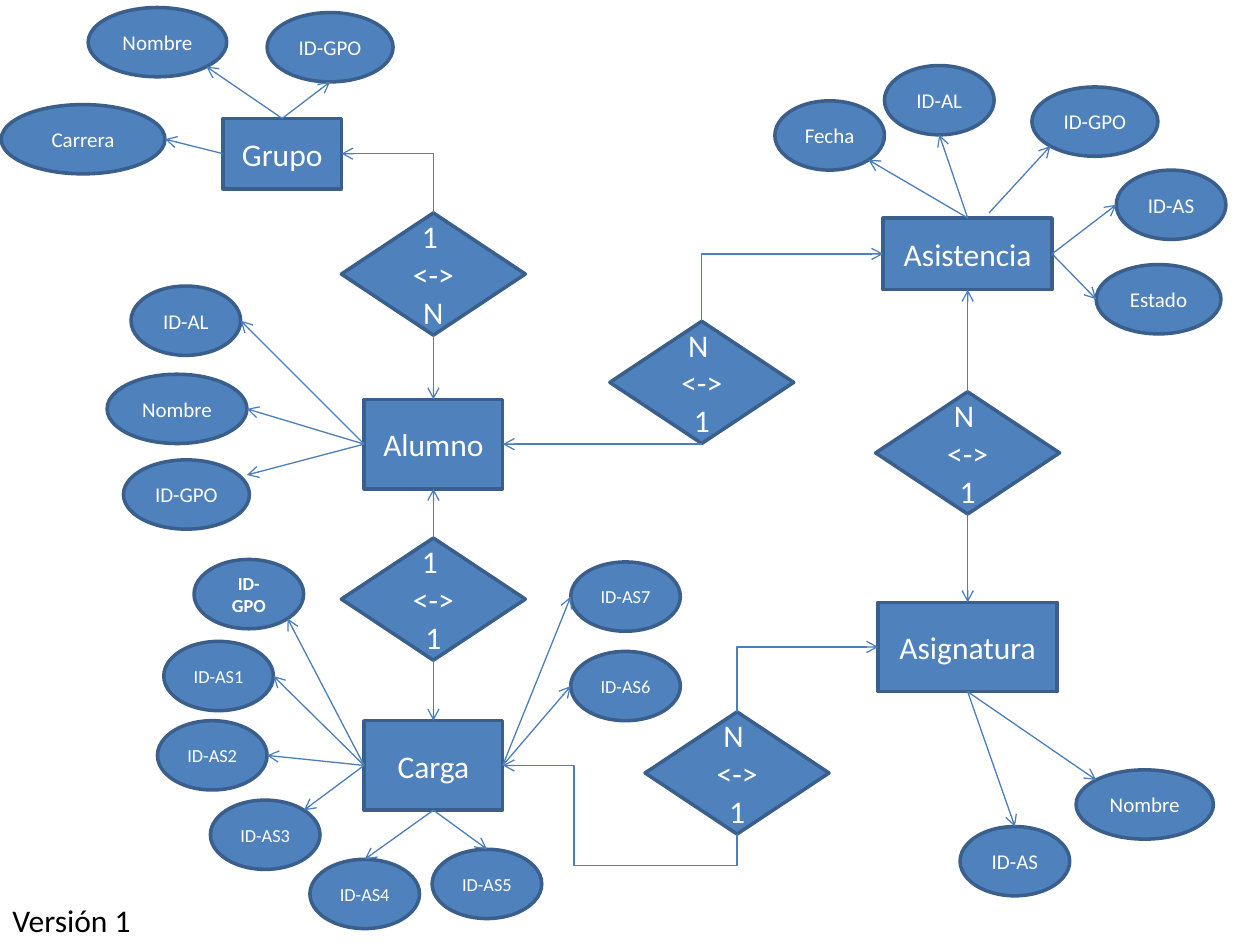
from lxml import etree
from pptx import Presentation
from pptx import util as u
from pptx.dml.color import RGBColor
from pptx.enum import shapes, text
from pptx.oxml.ns import qn

HUES = {"fill": "4F81BD", "edge": "3A5F8C", "link": "4B7EBC", "light": "FFFFFF", "dark": "000000"}

ENTITIES = {
    "Grupo": (1.77, 0.94, 0.94, 0.56),
    "Alumno": (2.89, 3.17, 1.1, 0.71),
    "Carga": (2.89, 5.72, 1.1, 0.71),
    "Asistencia": (7.01, 1.73, 1.34, 0.57),
    "Asignatura": (6.97, 4.78, 1.42, 0.71),
}

TRAITS = {
    "Grupo": [
        ("Carrera", 0.01, 0.83, 1.3, "left", "right"),
        ("Nombre", 0.7, 0.06, 1.1, "top", "low right"),
        ("ID-GPO", 2.12, 0.1, 1, "top", "bottom"),
    ],
    "Alumno": [
        ("ID-AL", 1.04, 2.27, 0.87, "left", "right"),
        ("Nombre", 0.85, 2.97, 1.11, "left", "right"),
        ("ID-GPO", 0.98, 3.65, 1, "left", (1.96, 3.77)),
    ],
    "Carga": [
        ("ID-GPO", 1.54, 4.44, 0.87, "left", "low right"),
        ("ID-AS1", 1.3, 5.09, 0.87, "left", "right"),
        ("ID-AS2", 1.25, 5.72, 0.87, "left", "right"),
        ("ID-AS3", 1.67, 6.35, 0.87, "left", "top right"),
        ("ID-AS4", 2.46, 6.82, 0.87, "bottom", "top"),
        ("ID-AS5", 3.43, 6.74, 0.87, "bottom", "top"),
        ("ID-AS6", 4.53, 5.17, 0.87, "right", "left"),
        ("ID-AS7", 4.53, 4.46, 0.87, "right", "left"),
    ],
    "Asistencia": [
        ("Fecha", 6.15, 0.8, 0.87, "top", "low right"),
        ("ID-AL", 7.02, 0.52, 0.87, "top", "bottom"),
        ("ID-GPO", 8.19, 0.69, 1, (7.85, 1.69), "low left"),
        ("ID-AS", 8.86, 1.35, 0.87, "right", "left"),
        ("Estado", 8.7, 2.1, 0.99, "right", "left"),
    ],
    "Asignatura": [
        ("Nombre", 8.54, 6.11, 1.09, "bottom", "top left"),
        ("ID-AS", 7.62, 6.56, 0.87, "bottom", "top"),
    ],
}

RATIOS = [
    ("1 ", "N", 2.71, 1.69, [("Grupo", "right", "top", 2), ("Alumno", "top", "bottom", 1)]),
    ("1 ", "1", 2.71, 4.27, [("Alumno", "bottom", "top", 1), ("Carga", "top", "bottom", 1)]),
    ("N ", "1", 4.84, 2.55, [("Asistencia", "left", "top", 2), ("Alumno", "right", "bottom", 2)]),
    ("N ", "1", 6.95, 3.11, [("Asistencia", "bottom", "top", 1), ("Asignatura", "top", "bottom", 1)]),
    ("N ", "1", 5.12, 5.65, [("Asignatura", "left", "top", 2), ("Carga", "right", "bottom", 4)]),
]
DETOUR = {"adj1": 30400, "adj2": 145800}

DIAG = 0.5 ** 0.5
SITES = {
    "top": (0, -1), "top left": (-DIAG, -DIAG), "left": (-1, 0), "low left": (-DIAG, DIAG),
    "bottom": (0, 1), "low right": (DIAG, DIAG), "right": (1, 0), "top right": (DIAG, -DIAG),
}
KINDS = shapes.MSO_SHAPE

deck = Presentation()
deck.slide_width, deck.slide_height = u.Inches(10), u.Inches(7.5)
slide = deck.slides.add_slide(deck.slide_layouts[6])


def hue(name):
    return RGBColor.from_string(HUES[name])


def write(frame, *lines, size=18, color="light", bold=False, align=text.PP_ALIGN.CENTER):
    for i, line in enumerate(lines):
        para = frame.add_paragraph() if i else frame.paragraphs[0]
        para.alignment = align
        run = para.add_run()
        run.text = line
        run.font.name, run.font.size = "Calibri", u.Pt(size)
        run.font.bold, run.font.color.rgb = bold, hue(color)


def node(kind, box, *lines, **style):
    shape = slide.shapes.add_shape(kind, *map(u.Inches, box))
    shape.shadow.inherit = False
    shape.fill.solid()
    shape.fill.fore_color.rgb = hue("fill")
    shape.line.color.rgb = hue("edge")
    shape.line.width = u.Pt(2)
    shape.text_frame.word_wrap = True
    shape.text_frame.vertical_anchor = text.MSO_ANCHOR.MIDDLE
    write(shape.text_frame, *lines, **style)
    return shape


def spot(shape, site):
    if isinstance(site, tuple):
        return [u.Inches(v) for v in site]
    dx, dy = SITES[site]
    return [int(shape.left + shape.width * (1 + dx) / 2), int(shape.top + shape.height * (1 + dy) / 2)]


def link(start, end, tip="tailEnd", bends=1):
    kind = shapes.MSO_CONNECTOR.STRAIGHT if bends == 1 else shapes.MSO_CONNECTOR.ELBOW
    wire = slide.shapes.add_connector(kind, *spot(*start), *spot(*end))
    wire.line.color.rgb = hue("link")
    wire.line.width = u.Pt(0.75)
    props = wire.element.spPr
    etree.SubElement(props.find(qn("a:ln")), qn("a:" + tip), type="arrow")
    etree.SubElement(props, qn("a:effectLst"))
    if bends > 1:
        form = props.find(qn("a:prstGeom"))
        form.set("prst", f"bentConnector{bends}")
        if bends == 4:
            for name, value in DETOUR.items():
                etree.SubElement(form.find(qn("a:avLst")), qn("a:gd"), name=name, fmla=f"val {value}")
    joints = wire.element.find(".//" + qn("p:cNvCxnSpPr"))
    for tag, (shape, site) in (("a:stCxn", start), ("a:endCxn", end)):
        if isinstance(site, str):
            round_ = shape.auto_shape_type == KINDS.OVAL
            order = list(SITES) if round_ else list(SITES)[::2]
            etree.SubElement(joints, qn(tag), id=str(shape.shape_id), idx=str(order.index(site)))


tables = {name: node(KINDS.RECTANGLE, box, name) for name, box in ENTITIES.items()}

for owner, traits in TRAITS.items():
    for label, x, y, wide, side, site in traits:
        small = owner == "Carga"
        oval = node(KINDS.OVAL, (x, y, wide, 0.55), label, size=10.5 if small else 12,
                    bold=small and label == "ID-GPO")
        link((tables[owner], side), (oval, site))

for first, last, x, y, ends in RATIOS:
    gem = node(KINDS.FLOWCHART_DECISION, (x, y, 1.46, 0.97), first, "<->", last)
    for owner, side, site, bends in ends:
        link((tables[owner], side), (gem, site), tip="headEnd", bends=bends)

note = slide.shapes.add_textbox(*map(u.Inches, (0, 7.1, 1.15, 0.4)))
note.text_frame.word_wrap = False
note.text_frame.auto_size = text.MSO_AUTO_SIZE.SHAPE_TO_FIT_TEXT
write(note.text_frame, "Versión 1", color="dark", align=text.PP_ALIGN.LEFT)

deck.save("out.pptx")
